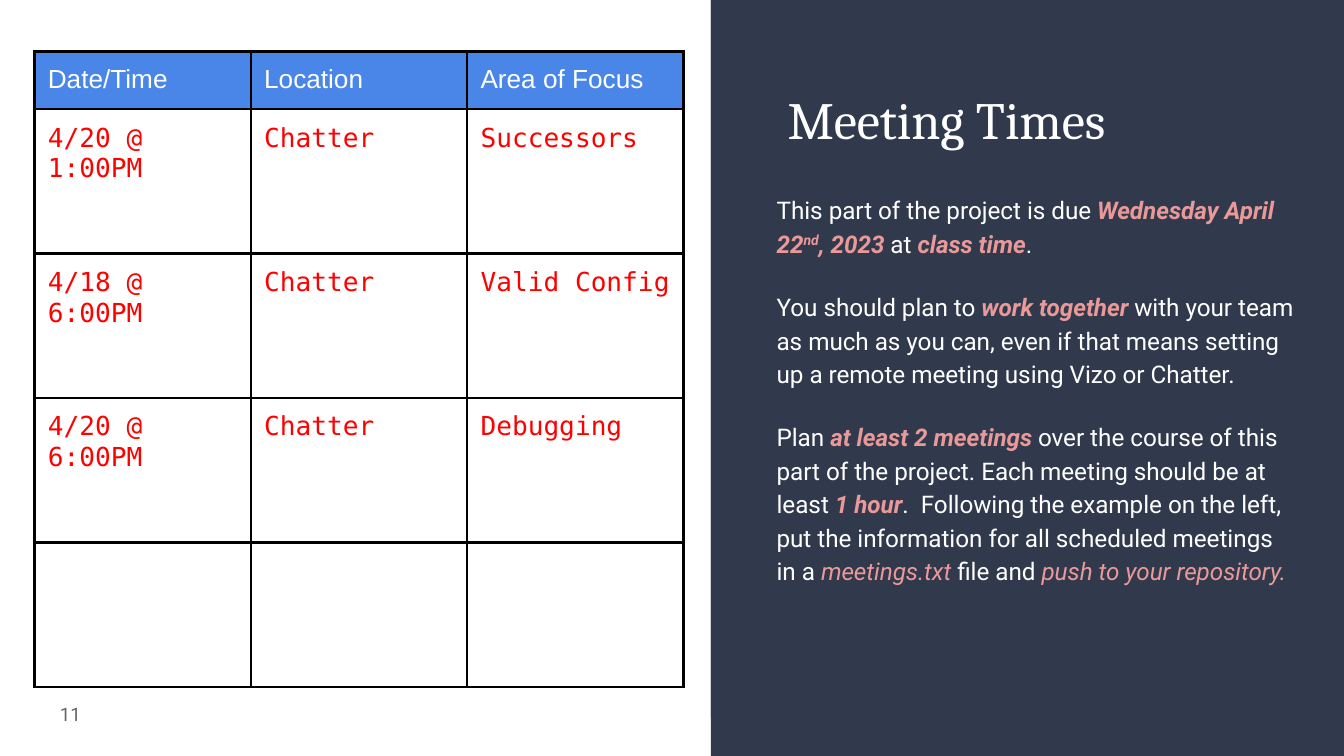
from pptx import Presentation
from pptx import util as u
from pptx.dml.color import RGBColor
from pptx.enum import shapes, text
from pptx.oxml import parse_xml
from pptx.oxml.ns import nsdecls

COLORS = {"navy": "31394D", "white": "FFFFFF", "gray": "666666", "rose": "EA9999",
          "blue": "4A86E8", "red": "FF0000", "black": "000000"}

STYLES = {"plain": ("white", False, False), "strong": ("rose", True, True),
          "super": ("rose", True, True), "soft": ("rose", False, True)}

MEETINGS = [
    ("Date/Time", "Location", "Area of Focus"),
    ("4/20 @ 1:00PM", "Chatter", "Successors"),
    ("4/18 @ 6:00PM", "Chatter", "Valid Config"),
    ("4/20 @ 6:00PM", "Chatter", "Debugging"),
    ("", "", ""),
]

INSTRUCTIONS = [
    [("This part of the project is due ", "plain"), ("Wednesday April 22", "strong"),
     ("nd", "super"), (", 2023", "strong"), (" at ", "plain"),
     ("class time", "strong"), (".", "plain")],
    [("You should plan to ", "plain"), ("work together ", "strong"),
     ("with your team as much as you can, even if that means setting up a remote "
      "meeting using Vizo or Chatter.", "plain")],
    [("Plan ", "plain"), ("at least 2 meetings ", "strong"),
     ("over the course of this part of the project. Each meeting should be at least ",
      "plain"), ("1 hour", "strong"),
     (".  Following the example on the left, put the information for all scheduled "
      "meetings in a ", "plain"), ("meetings.txt", "soft"), (" file and ", "plain"),
     ("push to your repository.", "soft")],
]


class SlideBuilder:
    GRID = u.Inches(0.1)
    INSET = u.Inches(0.1)

    def __init__(self, columns, rows):
        self.deck = Presentation()
        self.deck.slide_width, self.deck.slide_height = self.place(columns, rows)
        self.page = self.deck.slides.add_slide(self.deck.slide_layouts[5])

    def place(self, *cells):
        return [round(cell * self.GRID) for cell in cells]

    def color(self, name):
        return RGBColor.from_string(COLORS[name])

    def paint(self, shape, fill):
        shape.shadow.inherit = False
        shape.fill.solid()
        shape.fill.fore_color.rgb = self.color(fill)
        shape.line.fill.background()

    def panel(self, area, fill):
        box = self.page.shapes.add_shape(shapes.MSO_SHAPE.RECTANGLE, *self.place(*area))
        self.paint(box, fill)

    def outline(self, points, fill):
        corners = [self.place(*point) for point in points]
        pen = self.page.shapes.build_freeform(*corners[0])
        pen.add_line_segments(corners[1:], close=True)
        self.paint(pen.convert_to_shape(), fill)

    def frame(self, box, anchor):
        body = box.text_frame
        body.word_wrap = True
        body.auto_size = text.MSO_AUTO_SIZE.NONE
        body.vertical_anchor = anchor
        body.margin_left = body.margin_right = self.INSET
        body.margin_top = body.margin_bottom = self.INSET
        return body

    def span(self, para, words, size, font, color, bold=False, italic=False):
        span = para.add_run()
        span.text = words
        span.font.size = u.Pt(size)
        span.font.name = font
        span.font.color.rgb = self.color(color)
        span.font.bold = bold
        span.font.italic = italic
        return span

    def title(self, area, words):
        box = self.page.shapes.title
        box.left, box.top, box.width, box.height = self.place(*area)
        self.page.shapes._spTree.append(box._element)
        para = self.frame(box, text.MSO_ANCHOR.TOP).paragraphs[0]
        para.alignment = text.PP_ALIGN.LEFT
        self.span(para, words, 28, "Cambria", "white")

    def number(self, area, words):
        box = self.page.shapes.add_textbox(*self.place(*area))
        para = self.frame(box, text.MSO_ANCHOR.MIDDLE).paragraphs[0]
        para.alignment = text.PP_ALIGN.RIGHT
        self.span(para, words, 10, "Roboto", "gray")

    def prose(self, area, paragraphs):
        box = self.page.shapes.add_textbox(*self.place(*area))
        body = self.frame(box, text.MSO_ANCHOR.TOP)
        for index, pieces in enumerate(paragraphs):
            para = body.add_paragraph() if index else body.paragraphs[0]
            para.line_spacing = 1.15
            para.space_before = u.Pt(16 if index else 0)
            for words, style in pieces:
                span = self.span(para, words, 13, "Roboto", *STYLES[style])
                if style == "super":
                    span._r.get_or_add_rPr().set("baseline", "30000")

    def borders(self, cell):
        properties = cell._tc.get_or_add_tcPr()
        for index, side in enumerate(("lnL", "lnR", "lnT", "lnB")):
            properties.insert(index, parse_xml(
                f'<a:{side} {nsdecls("a")} w="{u.Pt(1.5)}"><a:solidFill>'
                f'<a:srgbClr val="{COLORS["black"]}"/></a:solidFill></a:{side}>'))

    def table(self, left, top, column, heights, records):
        count = len(records[0])
        area = self.place(left, top, column * count, sum(heights))
        table = self.page.shapes.add_table(len(records), count, *area).table
        table.first_row = table.horz_banding = False
        for item in table.columns:
            item.width = self.place(column)[0]
        for row, (height, record) in enumerate(zip(heights, records)):
            table.rows[row].height = self.place(height)[0]
            font, color = ("DejaVu Sans Mono", "red") if row else ("Arial", "white")
            for index, words in enumerate(record):
                cell = table.cell(row, index)
                cell.margin_left = cell.margin_right = self.INSET
                cell.margin_top = cell.margin_bottom = self.INSET
                if row:
                    cell.fill.background()
                else:
                    cell.fill.solid()
                    cell.fill.fore_color.rgb = self.color("blue")
                self.borders(cell)
                if words:
                    self.span(cell.text_frame.paragraphs[0], words, 14, font, color)


def main():
    slide = SlideBuilder(100, 56.25)
    slide.panel((52.9, 0, 47.2, 56.25), "navy")
    slide.outline([(52.9, 0), (100.1, 0), (100.1, 38.4), (52.9, 53.4)], "navy")
    slide.number((1, 51, 6, 4.3), "11")
    slide.title((57.6, 5.5, 40.5, 7), "Meeting Times")
    slide.prose((56.8, 13.23, 40.5, 38.6), INSTRUCTIONS)
    slide.table(2.56, 3.83, 16.1, [4.3] + [10.75] * 4, MEETINGS)
    slide.deck.save("out.pptx")


if __name__ == "__main__":
    main()
